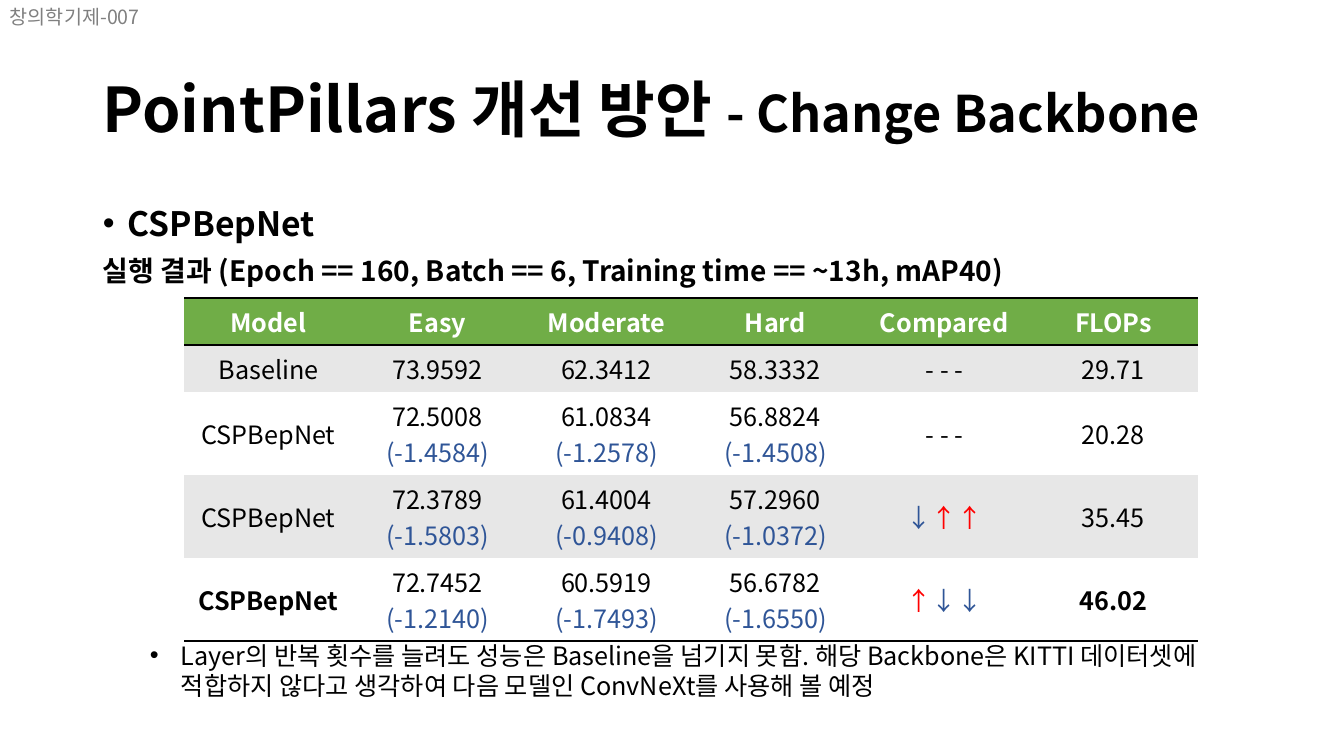
"""Build the slide comparing CSPBepNet backbones with the PointPillars baseline."""
from lxml import etree
from pptx import Presentation, util as u
from pptx.dml.color import RGBColor
from pptx.enum import text as t
from pptx.oxml.ns import qn

PX = 12192000 / 1344
THEME = dict(
    font="Noto Sans CJK KR", ink="000000", gray="808080", white="FFFFFF",
    head="70AD47", band="E7E7E7", blue="2F5597", red="FF0000",
    title=44, sub=36, lead=24, note=20, cell=18, label=14,
)

LABEL = "창의학기제-007"
TITLE = [("PointPillars 개선 방안 ", {}), ("- Change Backbone", {"size": "sub"})]
MODEL = "CSPBepNet"
SETUP = "실행 결과 (Epoch == 160, Batch == 6, Training time == ~13h, mAP40)"
HEADS = ["Model", "Easy", "Moderate", "Hard", "Compared", "FLOPs"]
ROWS = [
    ("Baseline", ["73.9592"], ["62.3412"], ["58.3332"], "- - -", "29.71"),
    (MODEL, ["72.5008", "(-1.4584)"], ["61.0834", "(-1.2578)"],
     ["56.8824", "(-1.4508)"], "- - -", "20.28"),
    (MODEL, ["72.3789", "(-1.5803)"], ["61.4004", "(-0.9408)"],
     ["57.2960", "(-1.0372)"], "↓↑↑", "35.45"),
    (MODEL, ["72.7452", "(-1.2140)"], ["60.5919", "(-1.7493)"],
     ["56.6782", "(-1.6550)"], "↑↓↓", "46.02"),
]
CLOSING = ("Layer의 반복 횟수를 늘려도 성능은 Baseline을 넘기지 못함. "
           "해당 Backbone은 KITTI 데이터셋에 적합하지 않다고 생각하여 "
           "다음 모델인 ConvNeXt를 사용해 볼 예정")
SHORT, TALL, COL = 47, 83, 169
NO_STYLE = "{2D5ABB26-0587-4C30-8999-92F81FD0307C}"


def px(n):
    return u.Emu(round(n * PX))


def rgb(name):
    return RGBColor.from_string(THEME[name])


def write(frame, runs, first=True, size="cell", color="ink", bold=False,
          align=None, line=None, before=None, indent=0):
    para = frame.paragraphs[0] if first else frame.add_paragraph()
    para.alignment = align
    if line:
        para.line_spacing = line
    if before:
        para.space_before = u.Pt(before)
    if indent:
        props = para._p.get_or_add_pPr()
        props.set("marL", str(px(indent)))
        props.set("indent", str(-px(indent)))
        etree.SubElement(props, qn("a:buFont"), typeface="Arial")
        etree.SubElement(props, qn("a:buChar"), char="•")
    for words, own in [(runs, {})] if isinstance(runs, str) else runs:
        run = para.add_run()
        run.text = words
        font = run.font
        font.size = u.Pt(THEME[own.get("size", size)])
        font.bold = bold
        font.color.rgb = rgb(own.get("color", color))
        font.name = THEME["font"]
        etree.SubElement(run._r.get_or_add_rPr(), qn("a:ea"), typeface=THEME["font"])


def box(slide, x, y, w, h, wrap=True, anchor=t.MSO_ANCHOR.TOP):
    frame = slide.shapes.add_textbox(px(x), px(y), px(w), px(h)).text_frame
    frame.word_wrap = wrap
    frame.vertical_anchor = anchor
    return frame


def rule(cell, sides):
    props = cell._tc.get_or_add_tcPr()
    for spot, side in enumerate(sides):
        edge = etree.Element(qn("a:ln" + side), w=str(u.Pt(2)))
        fill = etree.SubElement(edge, qn("a:solidFill"))
        etree.SubElement(fill, qn("a:srgbClr"), val=THEME["ink"])
        props.insert(spot, edge)


def paint(cell, fill):
    cell.fill.solid()
    cell.fill.fore_color.rgb = rgb(fill)
    cell.vertical_anchor = t.MSO_ANCHOR.MIDDLE


def arrows(marks):
    tones = {"↓": "blue", "↑": "red"}
    return [(mark, {"color": tones[mark]}) for mark in marks]


def scores(slide):
    highs = [SHORT, SHORT] + [TALL] * (len(ROWS) - 1)
    shape = slide.shapes.add_table(len(highs), len(HEADS), px(184), px(298),
                                   px(COL * len(HEADS)), px(sum(highs)))
    grid = shape.table
    grid._tbl.tblPr.find(qn("a:tableStyleId")).text = NO_STYLE
    for col in grid.columns:
        col.width = px(COL)
    for row, high in zip(grid.rows, highs):
        row.height = px(high)
    mid = t.PP_ALIGN.CENTER
    for c, head in enumerate(HEADS):
        cell = grid.cell(0, c)
        paint(cell, "head")
        rule(cell, "TB")
        write(cell.text_frame, head, color="white", bold=True, align=mid)
    for r, row in enumerate(ROWS, 1):
        last = r == len(ROWS)
        for c, value in enumerate(row):
            cell = grid.cell(r, c)
            paint(cell, "band" if r % 2 else "white")
            if last:
                rule(cell, "B")
            for n, part in enumerate(value if isinstance(value, list) else [value]):
                write(cell.text_frame, arrows(part) if part[0] in "↑↓" else part,
                      first=n == 0, color="blue" if n else "ink", align=mid,
                      bold=last and HEADS[c] in ("Model", "FLOPs"))


def main():
    deck = Presentation()
    deck.slide_width, deck.slide_height = px(1344), px(756)
    slide = deck.slides.add_slide(deck.slide_layouts[6])
    write(box(slide, 93, 40, 1159, 146, anchor=t.MSO_ANCHOR.MIDDLE), TITLE,
          size="title", bold=True, line=0.9)
    write(box(slide, 0, 0, 172, 34, wrap=False), LABEL, size="label", color="gray")
    body = box(slide, 93, 202, 1159, 480)
    write(body, MODEL, size="lead", bold=True, line=0.9, before=10, indent=25)
    write(body, SETUP, first=False, size="note", bold=True, line=0.9, before=10)
    scores(slide)
    write(box(slide, 140, 635, 1074, 72), CLOSING, indent=31)
    deck.save("out.pptx")


if __name__ == "__main__":
    main()
